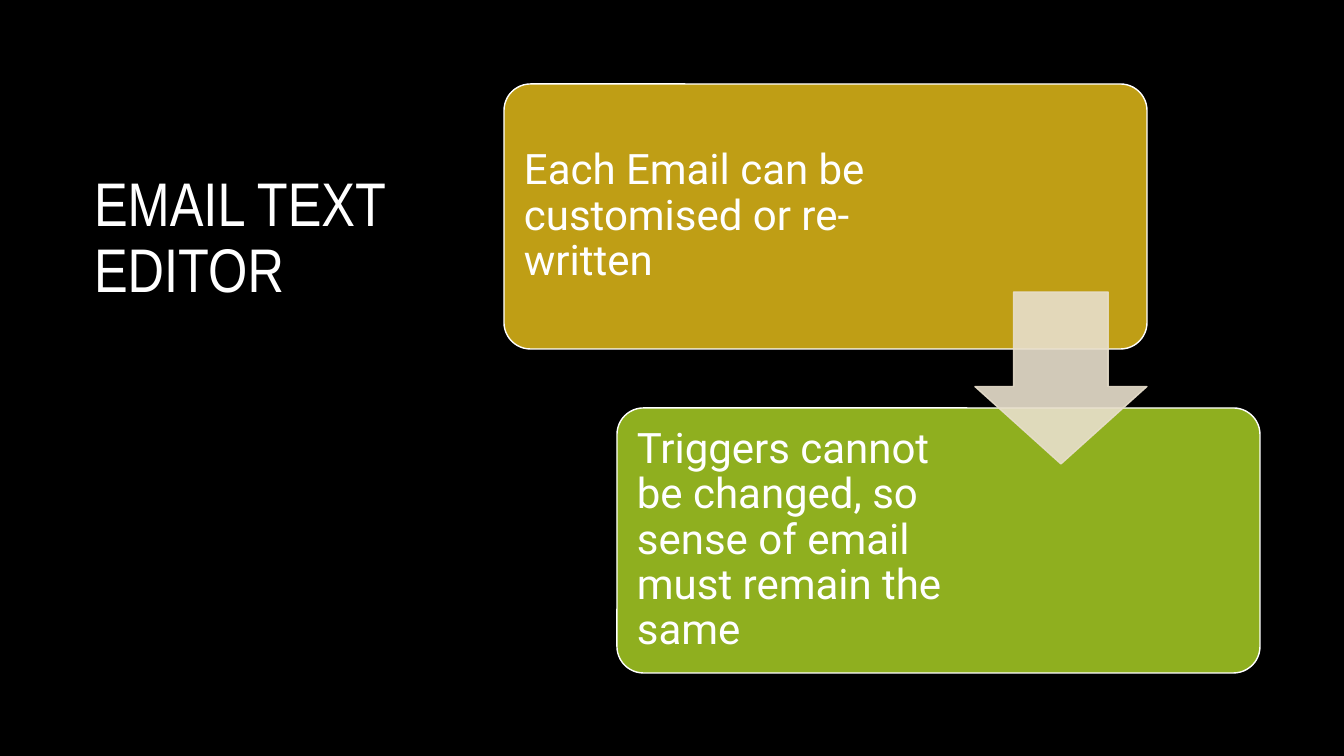
from lxml.etree import SubElement
from pptx import Presentation
from pptx.dml.color import RGBColor
from pptx.enum.shapes import MSO_SHAPE
from pptx.enum.text import MSO_ANCHOR, MSO_AUTO_SIZE, PP_ALIGN
from pptx.oxml.ns import qn
from pptx.util import Emu, Pt

EMU_PER_PIXEL = 914400 / 100.8

BLACK = RGBColor(0x00, 0x00, 0x00)
WHITE = RGBColor(0xFF, 0xFF, 0xFF)
GOLD = RGBColor(0xBF, 0x9E, 0x15)
GREEN = RGBColor(0x8F, 0xAF, 0x1F)
SAND = RGBColor(0xE8, 0xDF, 0xCC)

CARD_WIDTH, CARD_HEIGHT = 643, 265
TEXT_OFFSET = 8
TEXT_INSET = 12

# Left, top, fill, text width, wording
CARDS = [
    (504, 84, GOLD, 369, "Each Email can be customised or re-written"),
    (617, 408, GREEN, 342,
     "Triggers cannot be changed, so sense of email must remain the same"),
]


def px(pixels):
    """Turn pixels into EMU."""
    return Emu(round(pixels * EMU_PER_PIXEL))


def write(frame, wording, font_name, size):
    """Fill a text frame with one white, left-aligned paragraph."""
    frame.word_wrap = True
    frame.auto_size = MSO_AUTO_SIZE.NONE
    paragraph = frame.paragraphs[0]
    paragraph.text = wording
    paragraph.alignment = PP_ALIGN.LEFT
    paragraph.line_spacing = 0.9
    paragraph.font.name = font_name
    paragraph.font.size = Pt(size)
    paragraph.font.color.rgb = WHITE


def add_title(slide, wording):
    """Place and format the title placeholder."""
    title = slide.shapes.title
    title.left, title.top, title.width, title.height = map(px, (84, 168, 420, 419))
    title.text_frame.vertical_anchor = MSO_ANCHOR.TOP
    write(title.text_frame, wording, "Arial Narrow", 44)


def add_block(slide, preset, box, adjustments, fill, line):
    """Add a flat preset shape with a thin outline."""
    block = slide.shapes.add_shape(preset, *map(px, box))
    for index, value in enumerate(adjustments):
        block.adjustments[index] = value
    block.shadow.inherit = False
    block.fill.solid()
    block.fill.fore_color.rgb = fill
    block.line.color.rgb = line
    block.line.width = Pt(1)
    return block


def add_card(slide, left, top, fill, text_width, wording):
    """Add a rounded card with its text on the left side."""
    add_block(slide, MSO_SHAPE.ROUNDED_RECTANGLE,
              (left, top, CARD_WIDTH, CARD_HEIGHT), [0.1], fill, WHITE)
    text_box = (left + TEXT_OFFSET, top + TEXT_OFFSET,
                text_width, CARD_HEIGHT - 2 * TEXT_OFFSET)
    frame = slide.shapes.add_textbox(*map(px, text_box)).text_frame
    frame.margin_left = frame.margin_right = px(TEXT_INSET)
    frame.margin_top = frame.margin_bottom = px(TEXT_INSET)
    frame.vertical_anchor = MSO_ANCHOR.MIDDLE
    write(frame, wording, "Roboto", 30)


def add_step_arrow(slide):
    """Add the translucent arrow that leads from one card to the next."""
    arrow = add_block(slide, MSO_SHAPE.DOWN_ARROW, (975, 292, 172, 172),
                      [0.55, 0.45], SAND, SAND)
    for color in arrow.element.spPr.iter(qn("a:srgbClr")):
        SubElement(color, qn("a:alpha")).set("val", "90000")


def main():
    """Build and save the slide."""
    presentation = Presentation()
    presentation.slide_width = px(1344)
    presentation.slide_height = px(756)
    slide = presentation.slides.add_slide(presentation.slide_layouts[5])
    slide.background.fill.solid()
    slide.background.fill.fore_color.rgb = BLACK
    add_title(slide, "EMAIL TEXT EDITOR")
    for card in CARDS:
        add_card(slide, *card)
    add_step_arrow(slide)
    presentation.save("out.pptx")


main()
